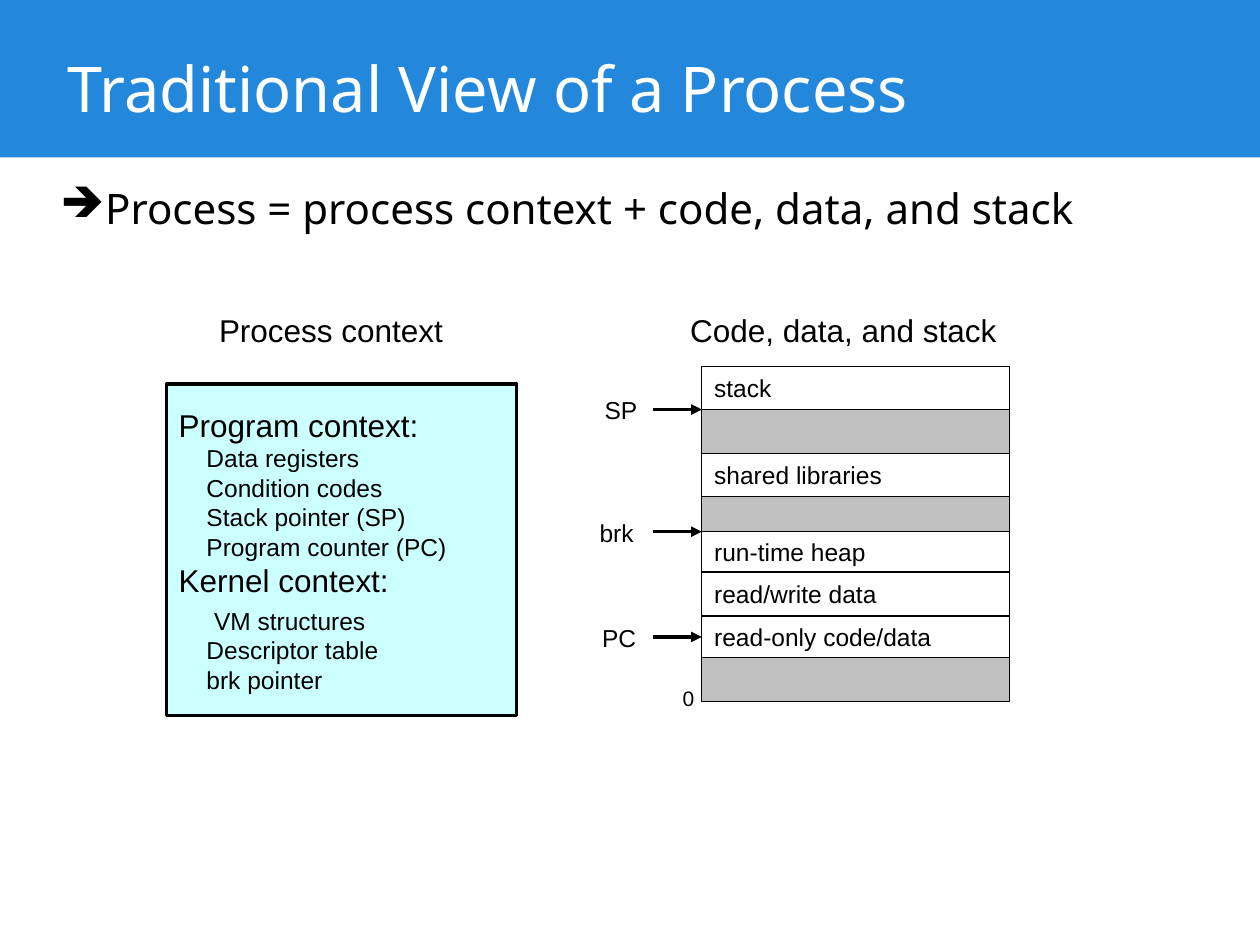
from lxml import etree
from pptx import Presentation
from pptx.dml.color import RGBColor
from pptx.enum.shapes import MSO_CONNECTOR as CONN, MSO_SHAPE as SHAPE
from pptx.enum.text import MSO_ANCHOR as ANCHOR, PP_ALIGN as ALIGN
from pptx.oxml.ns import qn
from pptx.util import Inches, Pt

COLORS = {
    "banner": "2388DB",
    "white": "FFFFFF",
    "black": "000000",
    "context": "CCFFFF",
    "gap": "C0C0C0",
}
CONTEXT_LINES = [
    ("Program context:", 18, 0, 0),
    ("Data registers", 14, 0.22, 0),
    ("Condition codes", 14, 0.22, 0),
    ("Stack pointer (SP)", 14, 0.22, 0),
    ("Program counter (PC)", 14, 0.22, 0),
    ("Kernel context:", 18, 0, 0),
    ("VM structures", 14, 0.28, 4),
    ("Descriptor table", 14, 0.22, 0),
    ("brk pointer", 14, 0.22, 0),
]
MEMORY_ROWS = [
    ("stack", 0.34),
    ("", 0.35),
    ("shared libraries", 0.34),
    ("", 0.28),
    ("run-time heap", 0.32),
    ("read/write data", 0.35),
    ("read-only code/data", 0.33),
    ("", 0.35),
]


def rgb(name):
    return RGBColor.from_string(COLORS[name])


def style_paragraph(p, size, font="Arial", color="black"):
    p.alignment = ALIGN.LEFT
    for r in p.runs:
        r.font.size = Pt(size)
        r.font.name = font
        r.font.color.rgb = rgb(color)


def set_frame(tf, anchor, inset_y=0.05):
    tf.word_wrap = True
    tf.vertical_anchor = anchor
    tf.margin_left = tf.margin_right = Inches(0.1)
    tf.margin_top = tf.margin_bottom = Inches(inset_y)


def add_text(s, box, text, size, font="Arial", color="black",
             anchor=ANCHOR.MIDDLE, inset_y=0.05):
    sp = s.shapes.add_textbox(*map(Inches, box))
    tf = sp.text_frame
    set_frame(tf, anchor, inset_y)
    tf.text = text
    style_paragraph(tf.paragraphs[0], size, font, color)
    return sp


def add_rect(s, box, fill, line_width=0):
    sp = s.shapes.add_shape(SHAPE.RECTANGLE, *map(Inches, box))
    sp.shadow.inherit = False
    sp.fill.solid()
    sp.fill.fore_color.rgb = rgb(fill)
    if line_width:
        sp.line.color.rgb = rgb("black")
        sp.line.width = Pt(line_width)
    else:
        sp.line.fill.background()
    set_frame(sp.text_frame, ANCHOR.MIDDLE)
    return sp


def add_arrow(s, x1, x2, y):
    cxn = s.shapes.add_connector(CONN.STRAIGHT, *map(Inches, (x1, y, x2, y)))
    cxn.line.color.rgb = rgb("black")
    cxn.line.width = Pt(2)
    etree.SubElement(cxn.line._get_or_add_ln(), qn("a:tailEnd"), type="triangle")
    etree.SubElement(cxn._element.spPr, qn("a:effectLst"))
    return cxn


def add_banner(s, x, y, w, h):
    add_rect(s, (x, y, w, h), "banner")
    add_text(s, (x + 0.44, y + 0.27, 7.81, 0.82), "Traditional View of a Process",
             36, "Noto Sans", "white", ANCHOR.BOTTOM, 0.1)


def add_body(s, x, y, w, h):
    sp = add_text(s, (x, y, w, h), "Process = process context + code, data, and stack",
                  24, "Noto Sans", anchor=ANCHOR.TOP, inset_y=0.1)
    pPr = sp.text_frame.paragraphs[0]._p.get_or_add_pPr()
    pPr.set("marL", "0")
    pPr.set("indent", str(Inches(0.04)))
    color = etree.SubElement(pPr, qn("a:buClr"))
    etree.SubElement(color, qn("a:srgbClr"), val=COLORS["black"])
    etree.SubElement(pPr, qn("a:buChar"), char="➔")


def add_process_context(s, x, y, w, h):
    add_text(s, (x + 0.32, y - 0.63, 2.13, 0.4), "Process context", 18)
    tf = add_rect(s, (x, y, w, h), "context", 2).text_frame
    tf.text = "\n".join(line[0] for line in CONTEXT_LINES)
    for p, (_, size, indent, before) in zip(tf.paragraphs, CONTEXT_LINES):
        style_paragraph(p, size)
        p.space_before = Pt(before)
        p._p.get_or_add_pPr().set("marL", str(Inches(indent)))


def add_memory(s, x, y, w):
    add_text(s, (x - 0.19, y - 0.49, 2.77, 0.4), "Code, data, and stack", 18)
    rows, tops = [], []
    bottom = y
    for text, height in MEMORY_ROWS:
        sp = add_rect(s, (x, bottom, w, height), "white" if text else "gap", 0.75)
        if text:
            sp.text_frame.text = text
            style_paragraph(sp.text_frame.paragraphs[0], 14)
        rows.append(sp)
        tops.append(bottom)
        bottom += height
    add_text(s, (x - 0.25, bottom - 0.18, 0.3, 0.3), "0", 12, anchor=ANCHOR.TOP)

    code_middle = tops[6] + MEMORY_ROWS[6][1] / 2
    pointers = [("SP", 0.87, tops[1]), ("brk", 0.91, tops[4]), ("PC", 0.89, code_middle)]
    for name, offset, level in pointers:
        add_text(s, (x - offset, level - 0.18, 0.55, 0.37), name, 14)
        arrow = add_arrow(s, x - 0.39, x, level)
        if name == "PC":
            arrow.end_connect(rows[6], 1)


def main():
    prs = Presentation()
    prs.slide_width = Inches(10)
    prs.slide_height = Inches(7.5)
    s = prs.slides.add_slide(prs.slide_layouts[6])
    add_banner(s, 0, 0, 10, 1.25)
    add_body(s, 0.34, 1.35, 9.08, 5.71)
    add_process_context(s, 1.32, 3.05, 2.78, 2.63)
    add_memory(s, 5.57, 2.91, 2.44)
    prs.save("out.pptx")


if __name__ == "__main__":
    main()
